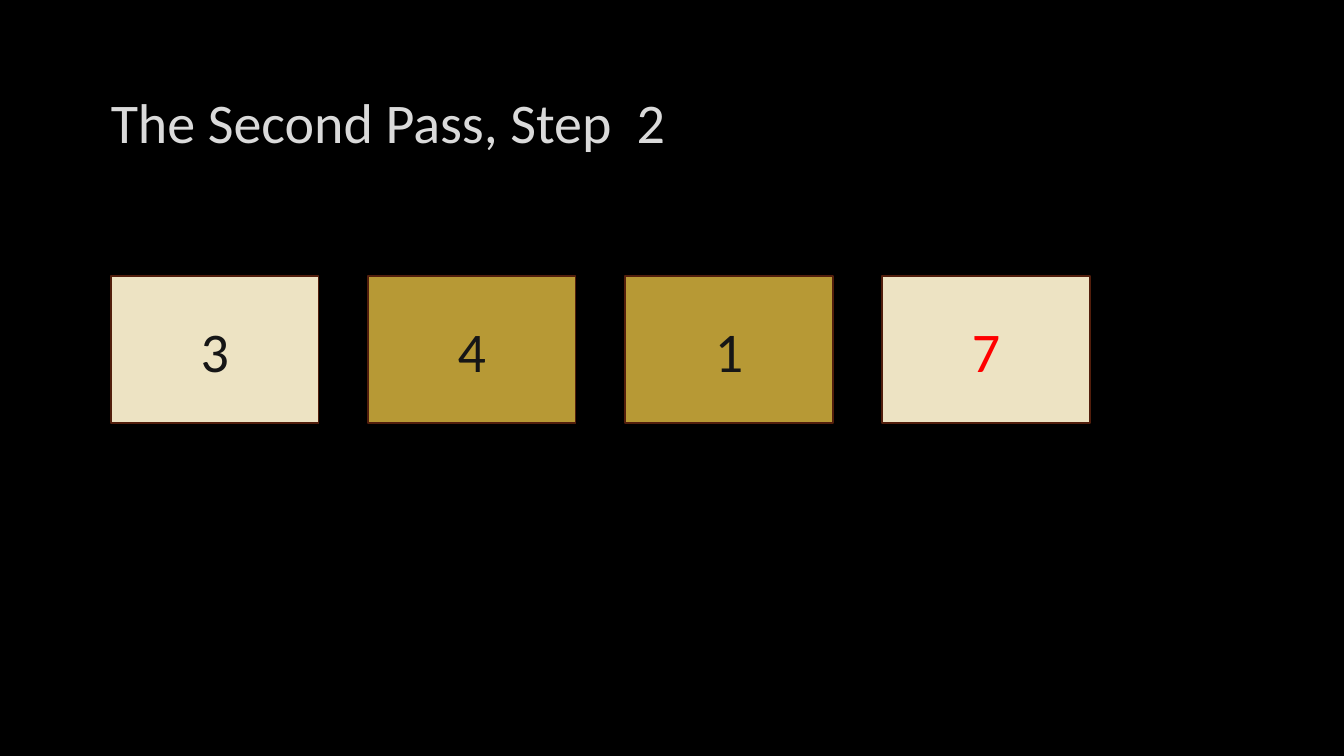
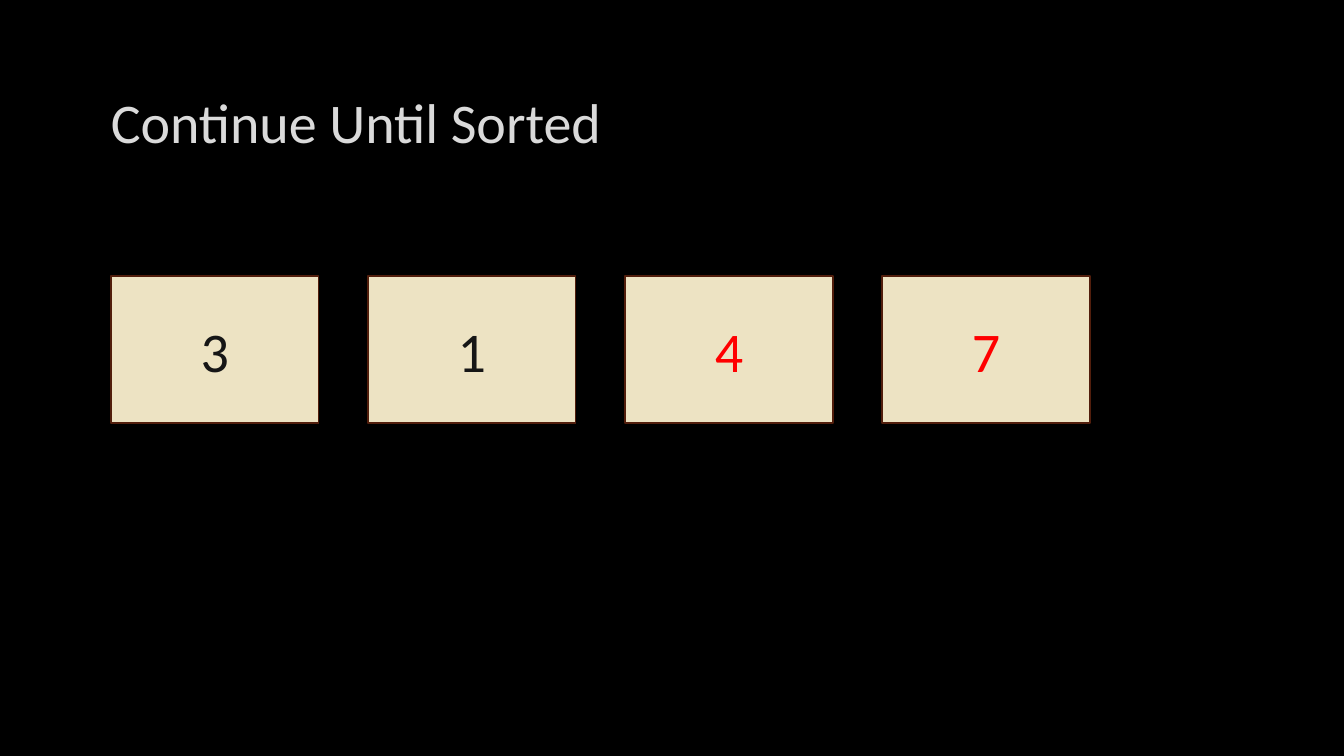
from pptx import Presentation
from pptx.dml.color import RGBColor
from pptx.enum.shapes import MSO_SHAPE
from pptx.enum.text import MSO_ANCHOR, PP_ALIGN
from pptx.util import Inches, Pt

# Content: title, then (value, state) for each box
SLIDES = [
    ("The Second Pass, Step  2",
     [("3", "waiting"), ("4", "compared"), ("1", "compared"), ("7", "sorted")]),
    ("Continue Until Sorted",
     [("3", "waiting"), ("1", "waiting"), ("4", "sorted"), ("7", "sorted")]),
]

# Shared style
COLORS = {"background": "000000", "title": "DADADA", "cream": "EDE3C3",
          "gold": "B79935", "border": "521E0C", "dark": "161616", "red": "FF0000"}
STATES = {"waiting": ("cream", "dark"), "compared": ("gold", "dark"),
          "sorted": ("cream", "red")}  # fill, text
FONT, SIZE = "Calibri", 40

# Layout in inches
TITLE = (1, 0.67, 11.32, 1.06)
BOX_LEFT, BOX_TOP, BOX_W, BOX_H = 1.1, 2.74, 2.06, 1.46
PITCH = 2.55


def color(name):
    return RGBColor.from_string(COLORS[name])


def set_text(shape, text, name, align):
    tf = shape.text_frame
    tf.word_wrap = True
    tf.vertical_anchor = MSO_ANCHOR.MIDDLE
    p = tf.paragraphs[0]
    p.text = text
    p.alignment = align
    p.font.name, p.font.size = FONT, Pt(SIZE)
    p.font.color.rgb = color(name)


def add_box(s, col, value, state):
    fill, ink = STATES[state]
    box = s.shapes.add_shape(
        MSO_SHAPE.RECTANGLE, Inches(BOX_LEFT + col * PITCH), Inches(BOX_TOP),
        Inches(BOX_W), Inches(BOX_H))
    box.shadow.inherit = False
    box.fill.solid()
    box.fill.fore_color.rgb = color(fill)
    box.line.color.rgb = color("border")
    box.line.width = Pt(1.25)
    set_text(box, value, ink, PP_ALIGN.CENTER)


def add_slide(prs, title, boxes):
    s = prs.slides.add_slide(prs.slide_layouts[6])
    s.background.fill.solid()
    s.background.fill.fore_color.rgb = color("background")
    set_text(s.shapes.add_textbox(*map(Inches, TITLE)), title, "title", PP_ALIGN.LEFT)
    for col, (value, state) in enumerate(boxes):
        add_box(s, col, value, state)


def main():
    prs = Presentation()
    prs.slide_width, prs.slide_height = Inches(13.33), Inches(7.5)
    for title, boxes in SLIDES:
        add_slide(prs, title, boxes)
    prs.save("out.pptx")


if __name__ == "__main__":
    main()
